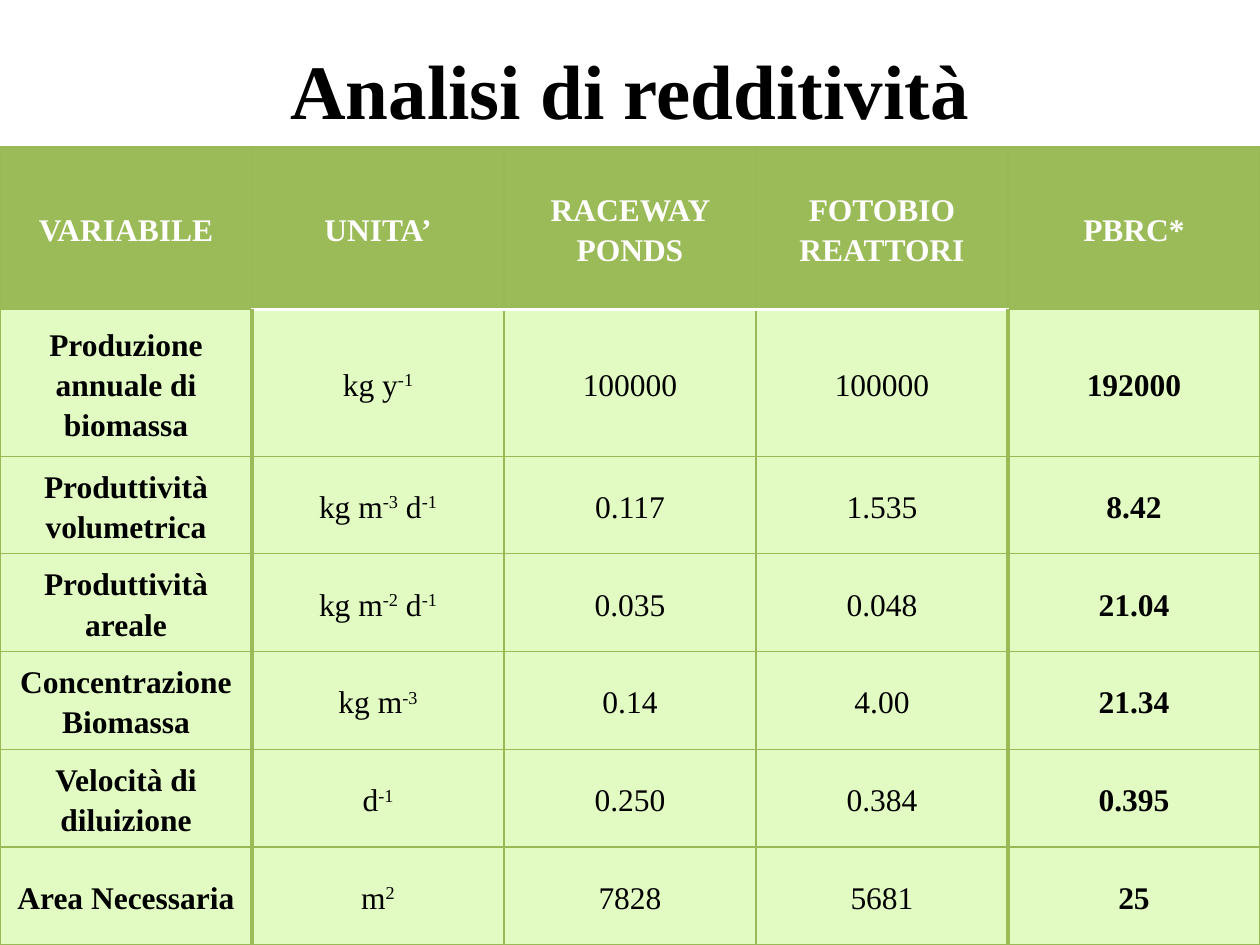
import lxml.etree
import pptx
import pptx.dml.color
import pptx.enum.text
import pptx.oxml.ns
import pptx.util

Pt = pptx.util.Pt
RGB = pptx.dml.color.RGBColor.from_string
qn = pptx.oxml.ns.qn
CENTER = pptx.enum.text.PP_ALIGN.CENTER
MIDDLE = pptx.enum.text.MSO_ANCHOR.MIDDLE

THEME = {
    "font": "Times New Roman",
    "title_size": 44,
    "table_size": 18,
    "text": "000000",
    "header_text": "FFFFFF",
    "header_fill": "9BBB59",
    "body_fill": "E2FBC2",
    "grid": "98B955",
    "divider": "9BBB59",
    "header_rule": "FFFFFF",
}

ROWS = [
    ["VARIABILE", "UNITA’", "RACEWAY PONDS", "FOTOBIO\nREATTORI", "PBRC*"],
    ["Produzione annuale di biomassa", "kg y^-1", "100000", "100000", "192000"],
    ["Produttività volumetrica", "kg m^-3^ d^-1", "0.117", "1.535", "8.42"],
    ["Produttività\nareale", "kg m^-2^ d^-1", "0.035", "0.048", "21.04"],
    ["Concentrazione Biomassa", "kg m^-3", "0.14", "4.00", "21.34"],
    ["Velocità di diluizione", "d^-1", "0.250", "0.384", "0.395"],
    ["Area Necessaria", "m^2", "7828", "5681", "25"],
]
ROW_HEIGHTS = [93, 83.7] + [55.86] * 5
COLUMN_WIDTH = 144
LAST_COLUMN = len(ROWS[0]) - 1


def style_text(paragraph, size, color, bold):
    paragraph.alignment = CENTER
    paragraph.font.name = THEME["font"]
    paragraph.font.size = Pt(size)
    paragraph.font.bold = bold
    paragraph.font.color.rgb = RGB(THEME[color])


def add_border(cell, side, color, width):
    line = lxml.etree.SubElement(
        cell._tc.get_or_add_tcPr(), qn(f"a:ln{side}"), w=str(Pt(width))
    )
    fill = lxml.etree.SubElement(line, qn("a:solidFill"))
    lxml.etree.SubElement(fill, qn("a:srgbClr"), val=THEME[color])


presentation = pptx.Presentation()
presentation.slide_width = Pt(720)
presentation.slide_height = Pt(540)
slide = presentation.slides.add_slide(presentation.slide_layouts[5])

title = slide.shapes.title
title.left, title.top, title.width, title.height = Pt(36), Pt(0), Pt(648), Pt(101.5)
title.text_frame.text = "Analisi di redditività"
title.text_frame.vertical_anchor = MIDDLE
style_text(title.text_frame.paragraphs[0], THEME["title_size"], "text", True)

profitability = slide.shapes.add_table(
    len(ROWS), len(ROWS[0]), Pt(0), Pt(84), Pt(720), Pt(456)
).table
profitability.horz_banding = False
for column in profitability.columns:
    column.width = Pt(COLUMN_WIDTH)

for r, values in enumerate(ROWS):
    profitability.rows[r].height = Pt(ROW_HEIGHTS[r])
    header = r == 0
    for c, value in enumerate(values):
        cell = profitability.cell(r, c)
        outer = c in (0, LAST_COLUMN)
        cell.margin_left = cell.margin_right = Pt(5)
        cell.margin_top = cell.margin_bottom = Pt(0)
        cell.vertical_anchor = MIDDLE

        for side, edge in (("L", c), ("R", c + 1)):
            if not header and edge in (1, LAST_COLUMN):
                add_border(cell, side, "divider", 2)
            else:
                add_border(cell, side, "grid", 0.75)
        for side, edge in (("T", r), ("B", r + 1)):
            if edge == 1 and not outer:
                add_border(cell, side, "header_rule", 2)
            else:
                add_border(cell, side, "grid", 0.75)
        cell.fill.solid()
        cell.fill.fore_color.rgb = RGB(THEME["header_fill" if header else "body_fill"])

        for i, text in enumerate(value.split("\n")):
            frame = cell.text_frame
            paragraph = frame.add_paragraph() if i else frame.paragraphs[0]
            paragraph.line_spacing = 1.15
            for part, fragment in enumerate(text.split("^")):
                run = paragraph.add_run()
                run.text = fragment
                if part % 2:
                    run._r.get_or_add_rPr().set("baseline", "30000")
            style_text(
                paragraph,
                THEME["table_size"],
                "header_text" if header else "text",
                header or outer,
            )

presentation.save("out.pptx")
